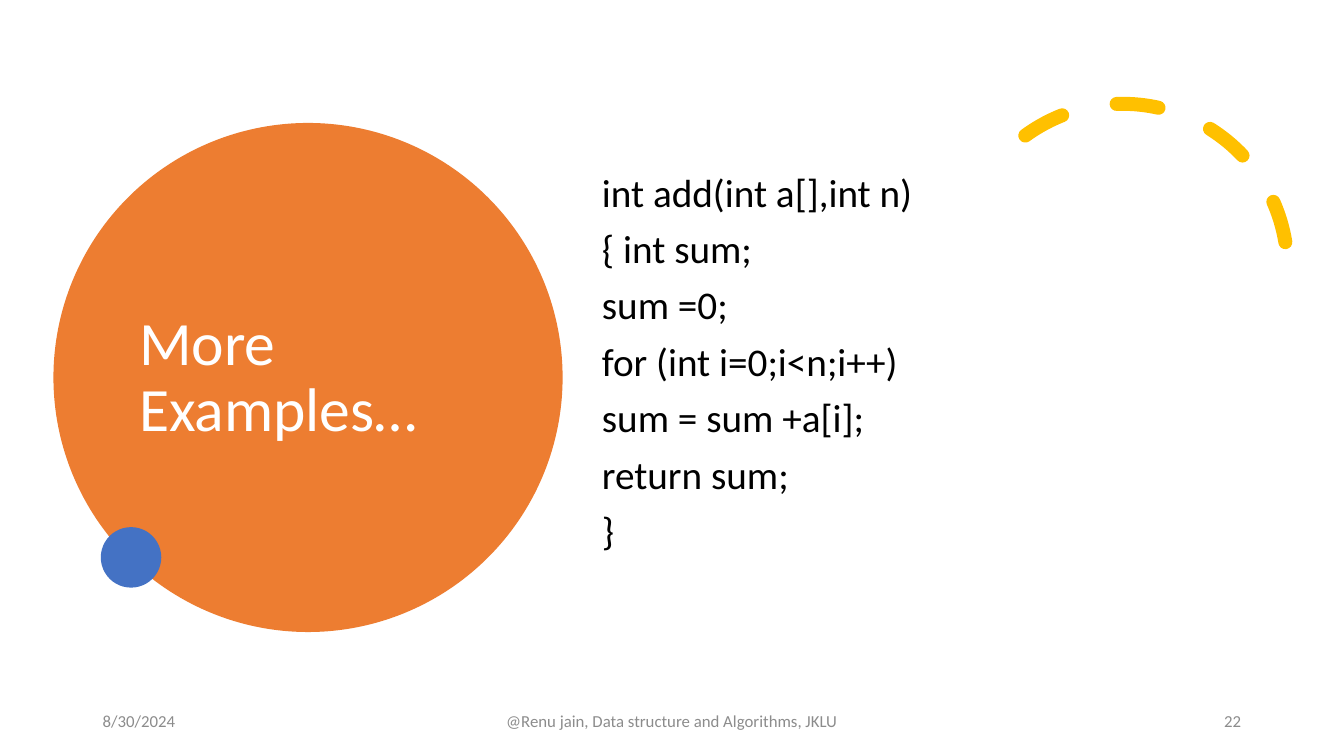
from lxml import etree
from pptx import Presentation
from pptx.dml.color import RGBColor
from pptx.enum.dml import MSO_LINE
from pptx.enum.shapes import MSO_SHAPE
from pptx.enum.text import MSO_ANCHOR, MSO_AUTO_SIZE, PP_ALIGN
from pptx.oxml.ns import qn
from pptx.util import Inches, Pt

OVAL, ARC = MSO_SHAPE.OVAL, MSO_SHAPE.ARC
DASH = MSO_LINE.DASH
TOP, MIDDLE = MSO_ANCHOR.TOP, MSO_ANCHOR.MIDDLE
FIXED = MSO_AUTO_SIZE.NONE
LEFT, CENTER, RIGHT = PP_ALIGN.LEFT, PP_ALIGN.CENTER, PP_ALIGN.RIGHT

WIDTH, HEIGHT = 13.33, 7.5
MARGIN = 0.92
FONT = "Calibri"
ORANGE, BLUE, GOLD = "ED7D31", "4472C4", "FFC000"
WHITE, BLACK, GREY = "FFFFFF", "000000", "8C8C8C"

CODE_LINES = [
    "int add(int a[],int n)",
    "{ int sum;",
    "sum =0;",
    "for (int i=0;i<n;i++)",
    "sum = sum +a[i];",
    "return sum;",
    "}",
]


def color(hex_text):
    return RGBColor.from_string(hex_text)


def place(box, left, top, width, height):
    box.left, box.top = Inches(left), Inches(top)
    box.width, box.height = Inches(width), Inches(height)


def add_disc(page, left, top, diameter, fill):
    disc = page.shapes.add_shape(OVAL, Inches(left), Inches(top),
                                 Inches(diameter), Inches(diameter))
    disc.shadow.inherit = False
    disc.fill.solid()
    disc.fill.fore_color.rgb = color(fill)
    disc.line.fill.background()
    return disc


def add_dashed_arc(page, left, top, diameter):
    arc = page.shapes.add_shape(ARC, Inches(left), Inches(top),
                                Inches(diameter), Inches(diameter))
    arc.shadow.inherit = False
    arc.adjustments[0], arc.adjustments[1] = 158.17, 17.81
    arc.rotation = 330.2
    arc.fill.background()
    arc.line.color.rgb = color(GOLD)
    arc.line.width = Pt(10)
    arc.line.dash_style = DASH
    arc.line._get_or_add_ln().set("cap", "rnd")


def write_lines(box, lines, size, hex_text, anchor=MIDDLE, align=LEFT,
                line_spacing=1.0, before=0, after=0):
    """Fill a box with one unbulleted paragraph per line."""
    frame = box.text_frame
    frame.word_wrap = True
    frame.auto_size = FIXED
    frame.vertical_anchor = anchor
    for index, line in enumerate(lines):
        para = frame.add_paragraph() if index else frame.paragraphs[0]
        properties = para._p.get_or_add_pPr()
        properties.set("marL", "0")
        properties.set("indent", "0")
        etree.SubElement(properties, qn("a:buNone"))
        para.alignment = align
        para.line_spacing = line_spacing
        para.space_before = Pt(before if index else 0)
        para.space_after = Pt(after)
        span = para.add_run()
        span.text = line
        span.font.name = FONT
        span.font.size = Pt(size)
        span.font.color.rgb = color(hex_text)


def add_footer(page, text, left, width, align):
    box = page.shapes.add_textbox(0, 0, 0, 0)
    place(box, left, 6.95, width, 0.4)
    write_lines(box, [text], 12, GREY, align=align, after=6)


def main():
    deck = Presentation()
    deck.slide_width, deck.slide_height = Inches(WIDTH), Inches(HEIGHT)
    page = deck.slides.add_slide(deck.slide_layouts[1])
    title, code = page.placeholders

    title_disc = add_disc(page, 0.53, 1.22, 5.05, ORANGE)
    title._element.addprevious(title_disc._element)
    place(title, 1.28, 1.53, 3.54, 4.45)
    write_lines(title, ["More Examples…"], 44, WHITE, line_spacing=0.9)

    add_dashed_arc(page, 9.5, 1.03, 3.27)
    add_disc(page, 1, 5.23, 0.6, BLUE)

    place(code, 5.87, 1.67, 6.05, 4.3)
    write_lines(code, CODE_LINES, 28, BLACK, anchor=TOP,
                line_spacing=0.9, before=10)
    page.shapes._spTree.append(code._element)

    side, middle = 3, 4.5
    add_footer(page, "8/30/2024", MARGIN, side, LEFT)
    add_footer(page, "@Renu jain, Data structure and Algorithms, JKLU",
               (WIDTH - middle) / 2, middle, CENTER)
    add_footer(page, "22", WIDTH - MARGIN - side, side, RIGHT)

    deck.save("out.pptx")


if __name__ == "__main__":
    main()
